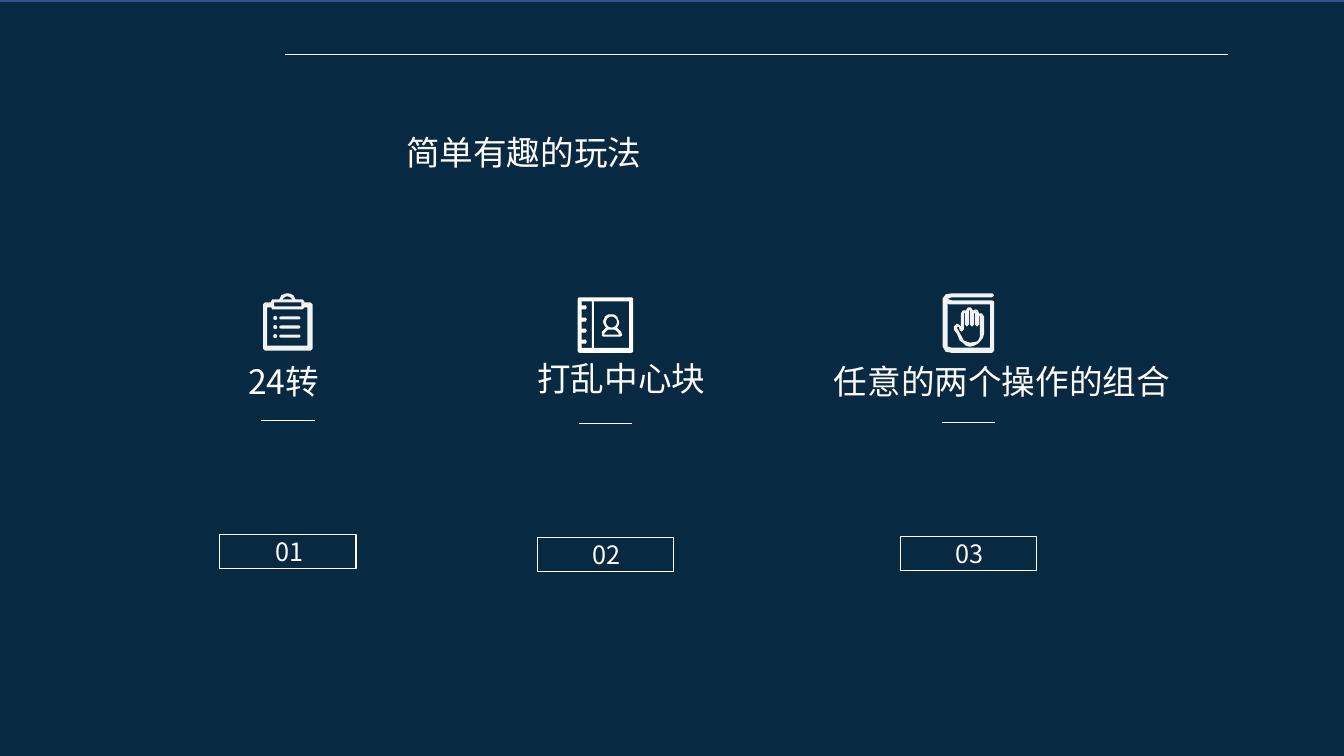
import math
from dataclasses import dataclass

import lxml.etree
import pptx
import pptx.dml.color
import pptx.enum.shapes
import pptx.enum.text
import pptx.oxml.ns
import pptx.shapes.connector
import pptx.slide
import pptx.util

PX = 9144
FONT = "Noto Sans CJK SC"
COLORS = {"navy": "072941", "edge": "325491", "white": "FFFFFF", "pale": "F2F2F2"}

Point = tuple[float, float]
Outline = list[Point]


@dataclass(frozen=True)
class Label:
    text: str
    left: int
    top: int
    width: int
    height: int
    size: int = 24
    wrap: bool = True
    inset_left: int = 0
    heading: bool = True


@dataclass(frozen=True)
class Icon:
    left: int
    top: int
    color: str
    outlines: list[Outline]


@dataclass(frozen=True)
class Step:
    number: str
    left: int
    top: int
    heading: Label
    icon: Icon


def px(value: float) -> pptx.util.Emu:
    return pptx.util.Emu(round(value * PX))


def rgb(name: str) -> pptx.dml.color.RGBColor:
    return pptx.dml.color.RGBColor.from_string(COLORS[name])


def rounded(left: float, top: float, right: float, bottom: float, radius: float = 0) -> Outline:
    if not radius:
        return [(left, top), (right, top), (right, bottom), (left, bottom)]
    corners = [(right - radius, bottom - radius), (left + radius, bottom - radius),
               (left + radius, top + radius), (right - radius, top + radius)]
    return [(x + radius * math.cos(angle), y + radius * math.sin(angle))
            for quarter, (x, y) in enumerate(corners)
            for angle in [math.pi / 2 * (quarter + part / 4) for part in range(5)]]


def clipboard() -> list[Outline]:
    board = [(2, 9), (8, 9), (8, 8), (9, 6), (16, 6), (18, 2), (21, 0.5), (24, 0),
             (27, 0.5), (30, 2), (32, 6), (39, 6), (41, 8), (41, 9), (47, 9), (49, 11),
             (49, 55), (47, 57), (2, 57), (0, 55), (0, 11)]
    ring = [(19, 6), (20, 5), (22, 3.5), (24, 3), (26, 3.5), (28, 5), (29, 6)]
    sheet = [(4, 14), (8, 14), (9, 16), (39, 16), (41, 14), (44, 14), (44, 52), (4, 52)]
    entries = [outline for top in (23, 32, 41)
               for outline in (rounded(10, top - 0.5, 14, top + 3.5, 2),
                               rounded(16, top, 37, top + 3, 1.5))]
    return [board, ring, rounded(11, 9, 38, 13), sheet, *entries]


def address_book() -> list[Outline]:
    spine = [(4, 4), (14, 4), (14, 50), (4, 50)]
    for top in (42, 31, 20, 8):
        spine += [(4, top + 4), (8, top + 4), (9, top + 2), (8, top), (4, top)]
    person = [(25, 39), (42, 39), (44, 38), (44, 37), (43, 34), (41, 32), (39, 30),
              (41, 27), (41, 24), (39, 19), (36, 17), (33, 17), (30, 17), (27, 19),
              (25, 24), (26, 27), (28, 30), (26, 32), (24, 34), (24, 38)]
    shoulders = [(26, 37), (27, 35), (28, 34), (30, 32), (36, 32), (38, 33), (40, 35), (41, 37)]
    return [rounded(0, 0, 55, 55, 2), spine, rounded(16, 4, 51, 50), person,
            rounded(28, 19, 39, 30, 5.5), shoulders]


def hand_book() -> list[Outline]:
    cover = [(49, 7), (9, 7), (6, 6), (5, 5), (6, 5), (9, 4), (49, 4), (51, 2), (49, 0),
             (9, 0), (3, 1), (0, 5), (0, 53), (3, 58), (9, 59), (49, 59), (51, 57), (51, 8)]
    page = [(47, 54), (9, 54), (6, 53), (5, 53), (5, 10), (6, 11), (9, 11), (47, 11)]
    hand = [(14, 40), (17, 47), (20, 49), (23, 52), (27, 53), (31, 52), (35, 50), (37, 48),
            (40, 44), (41, 40), (41, 23), (39, 20), (36, 20), (35, 17), (33, 16), (30, 17),
            (28, 14), (25, 14), (23, 17), (20, 17), (18, 20), (18, 33), (16, 31), (14, 30),
            (11, 33), (11, 36)]
    palm = [(16, 33), (17, 37), (19, 38), (21, 36), (21, 20), (22, 19), (22, 31), (24, 33),
            (26, 31), (26, 17), (27, 17), (27, 31), (29, 33), (31, 31), (31, 20), (32, 19),
            (32, 31), (34, 33), (36, 31), (36, 23), (37, 22), (37, 43), (35, 47), (33, 48),
            (27, 49), (21, 47), (20, 45), (14, 34)]
    return [cover, page, hand, palm]


def draw_box(slide: pptx.slide.Slide, left: int, top: int, width: int, height: int,
             line: str, fill: str = "") -> None:
    box = slide.shapes.add_shape(pptx.enum.shapes.MSO_SHAPE.RECTANGLE,
                                 px(left), px(top), px(width), px(height))
    box.shadow.inherit = False
    if fill:
        box.fill.solid()
        box.fill.fore_color.rgb = rgb(fill)
    else:
        box.fill.background()
    box.line.color.rgb = rgb(line)
    box.line.width = pptx.util.Pt(1)


def draw_rule(slide: pptx.slide.Slide, start: int, end: int, top: int, weight: float) -> None:
    rule = slide.shapes.add_connector(pptx.enum.shapes.MSO_CONNECTOR.STRAIGHT,
                                      px(start), px(top), px(end), px(top))
    rule.line.color.rgb = rgb("white")
    rule.line.width = pptx.util.Pt(weight)
    properties = rule._element.spPr
    lxml.etree.SubElement(properties, pptx.oxml.ns.qn("a:effectLst"))


def draw_label(slide: pptx.slide.Slide, label: Label, justify: bool = False) -> None:
    frame = slide.shapes.add_textbox(px(label.left), px(label.top),
                                     px(label.width), px(label.height)).text_frame
    frame.word_wrap = label.wrap
    frame.auto_size = pptx.enum.text.MSO_AUTO_SIZE.SHAPE_TO_FIT_TEXT
    frame.text = label.text
    paragraph = frame.paragraphs[0]
    if label.heading:
        frame.margin_left = px(label.inset_left)
        frame.margin_top = frame.margin_right = 0
        paragraph.line_spacing = pptx.util.Pt(24)
    if justify:
        paragraph.alignment = pptx.enum.text.PP_ALIGN.JUSTIFY
    run = paragraph.runs[0]
    run.font.name = FONT
    run.font.size = pptx.util.Pt(label.size)
    run.font.color.rgb = rgb("white")
    east_asian = lxml.etree.SubElement(run.font._element, pptx.oxml.ns.qn("a:ea"))
    east_asian.set("typeface", FONT)


def draw_icon(slide: pptx.slide.Slide, icon: Icon) -> None:
    outlines = [[(px(x), px(y)) for x, y in outline] for outline in icon.outlines]
    builder = slide.shapes.build_freeform(*outlines[0][0])
    for outline in outlines:
        builder.move_to(*outline[0])
        builder.add_line_segments(outline[1:], close=True)
    symbol = builder.convert_to_shape(px(icon.left), px(icon.top))
    symbol.shadow.inherit = False
    symbol.fill.solid()
    symbol.fill.fore_color.rgb = rgb(icon.color)
    symbol.line.fill.background()


def draw_step(slide: pptx.slide.Slide, step: Step) -> None:
    draw_box(slide, step.left, step.top, 135, 34, "white")
    draw_label(slide, step.heading)
    draw_rule(slide, step.left + 41, step.left + 94, step.top - 113, 1)
    draw_icon(slide, step.icon)
    draw_label(slide, Label(step.number, step.left + 45, step.top - 3, 49, 40,
                            size=18, wrap=False, heading=False))


STEPS = [
    Step("01", 218, 530, Label("24转", 239, 365, 190, 72, inset_left=7),
         Icon(261, 291, "pale", clipboard())),
    Step("02", 533, 533, Label("打乱中心块", 533, 362, 167, 72, wrap=False),
         Icon(573, 295, "white", address_book())),
    Step("03", 893, 532, Label("任意的两个操作的组合", 827, 365, 435, 72),
         Icon(935, 291, "pale", hand_book())),
]


def main() -> None:
    presentation = pptx.Presentation()
    presentation.slide_width = px(1333)
    presentation.slide_height = px(750)
    slide = presentation.slides.add_slide(presentation.slide_layouts[6])
    draw_box(slide, -2, 1, 1337, 751, "edge", "navy")
    for step in STEPS:
        draw_step(slide, step)
    draw_label(slide, Label("简单有趣的玩法", 393, 126, 529, 50, heading=False), justify=True)
    draw_rule(slide, 1218, 283, 54, 0.5)
    presentation.save("out.pptx")


if __name__ == "__main__":
    main()
